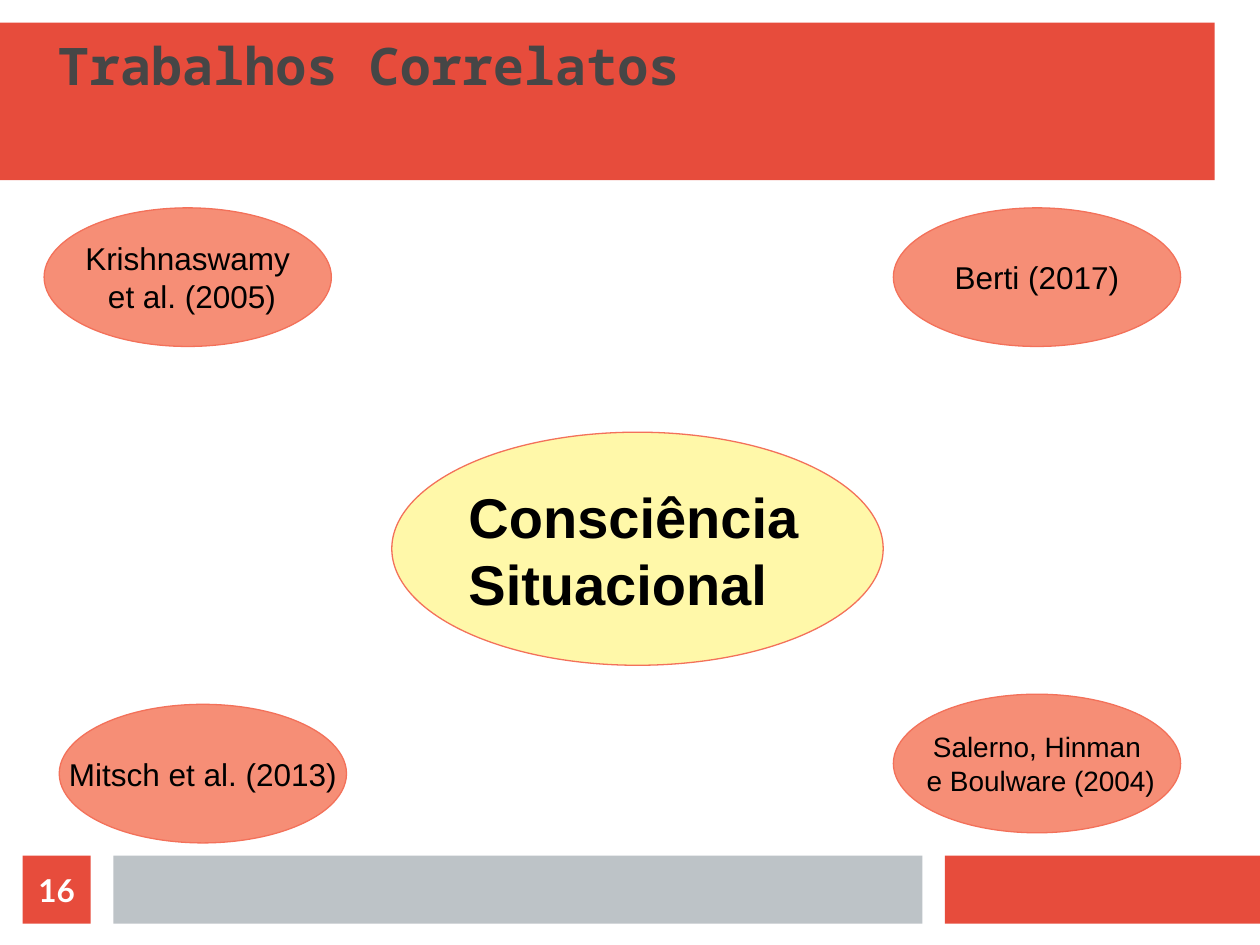
from lxml import etree
from pptx import Presentation
from pptx.dml.color import RGBColor
from pptx.enum.shapes import MSO_SHAPE
from pptx.enum.text import MSO_ANCHOR, PP_ALIGN
from pptx.oxml.ns import qn
from pptx.util import Inches, Pt

RECTANGLE, ELLIPSE = MSO_SHAPE.RECTANGLE, MSO_SHAPE.OVAL
TOP, MIDDLE = MSO_ANCHOR.TOP, MSO_ANCHOR.MIDDLE
LEFT, CENTER = PP_ALIGN.LEFT, PP_ALIGN.CENTER

RED = RGBColor(0xE7, 0x4C, 0x3C)
GRAY = RGBColor(0xBD, 0xC3, 0xC7)
SALMON = RGBColor(0xF6, 0x8E, 0x76)
OUTLINE = RGBColor(0xF3, 0x71, 0x5A)
YELLOW = RGBColor(0xFF, 0xF6, 0x85)
DARK = RGBColor(0x46, 0x46, 0x46)
BLACK = RGBColor(0, 0, 0)
WHITE = RGBColor(0xFF, 0xFF, 0xFF)

WIDTH, HEIGHT = 10, 7.5
GAP = 0.18  # gutter around the coloured bands


def place(box):
    return [Inches(length) for length in box]


def write(shape, text, size, font="Arial", color=BLACK, bold=False,
          align=LEFT, anchor=MIDDLE, wrap=True, insets=(0.1, 0.05), spacing=None):
    """Fill a shape with one formatted paragraph; a vertical tab breaks the line."""
    frame = shape.text_frame
    frame.word_wrap = wrap
    frame.vertical_anchor = anchor
    frame.margin_left = frame.margin_right = Inches(insets[0])
    frame.margin_top = frame.margin_bottom = Inches(insets[1])
    paragraph = frame.paragraphs[0]
    paragraph.text = text
    paragraph.alignment = align
    if spacing:
        paragraph.line_spacing = spacing
    for run in paragraph.runs:
        run.font.name = font
        run.font.size = Pt(size)
        run.font.bold = bold
        run.font.color.rgb = color


def add_shape(slide, kind, box, fill, line=None, opacity=None):
    shape = slide.shapes.add_shape(kind, *place(box))
    shape.shadow.inherit = False
    shape.fill.solid()
    shape.fill.fore_color.rgb = fill
    if opacity is not None:
        color = shape.fill._xPr.find(qn("a:solidFill"))[0]
        etree.SubElement(color, qn("a:alpha"), val=str(opacity * 1000))
    if line is None:
        shape.line.fill.background()
    else:
        shape.line.color.rgb = line
        shape.line.width = Pt(0)
    return shape


def add_header(slide, box, title):
    left, top, width, height = box
    band = add_shape(slide, RECTANGLE, box, RED)
    placeholder = slide.shapes.title
    # Bring the title in front of its band
    band._element.addnext(placeholder._element)
    placeholder.left, placeholder.top, placeholder.width, placeholder.height = place(
        (left + 2 * GAP, top + GAP, width - 2 * GAP, height - 2 * GAP))
    write(placeholder, title, 29.6, font="Noto Sans Mono", color=DARK, bold=True,
          anchor=TOP, insets=(0.1, 0), spacing=0.8)


def add_footer(slide, box, number):
    left, top, width, height = box
    bar_left = left + height + 2 * GAP
    accent_left = left + 0.75 * width
    add_shape(slide, RECTANGLE, (accent_left, top, 0.25 * width, height), RED)
    add_shape(slide, RECTANGLE,
              (bar_left, top, accent_left - GAP - bar_left, height), GRAY)
    badge = add_shape(slide, RECTANGLE, (left + GAP, top, height, height), RED)
    write(badge, number, 18, font="Lato", color=WHITE, bold=True,
          align=CENTER, insets=(0, 0))


def add_topic(slide, box, text):
    left, top, width, height = box
    add_shape(slide, ELLIPSE, box, YELLOW, OUTLINE, opacity=70)
    label = slide.shapes.add_textbox(
        *place((left + 0.51, top + 0.35, 2.87, height - 0.67)))
    write(label, text, 32, bold=True, anchor=TOP)


def add_work(slide, box, text, size):
    ellipse = add_shape(slide, ELLIPSE, box, SALMON, OUTLINE)
    write(ellipse, text, size, align=CENTER, wrap=False)


def main():
    presentation = Presentation()
    presentation.slide_width, presentation.slide_height = Inches(WIDTH), Inches(HEIGHT)
    slide = presentation.slides.add_slide(presentation.slide_layouts[5])

    # Coloured bands
    add_header(slide, (0, GAP, WIDTH - 2 * GAP, 1.25), "Trabalhos Correlatos")
    add_footer(slide, (0, 6.79, WIDTH, 0.54), "16")

    # Central topic
    add_topic(slide, (3.11, 3.43, 3.9, 1.85), "Consciência Situacional")

    # Related works in the four corners
    right, upper = 7.09, 1.65
    works = [
        (0.35, upper, "Krishnaswamy\v et al. (2005)", 18),
        (right, upper, "Berti (2017)", 18),
        (right, 5.51, "Salerno, Hinman\v e Boulware (2004)", 16),
        (0.47, 5.59, "Mitsch et al. (2013)", 18),
    ]
    for left, top, text, size in works:
        add_work(slide, (left, top, 2.28, 1.1), text, size)

    presentation.save("out.pptx")


if __name__ == "__main__":
    main()
